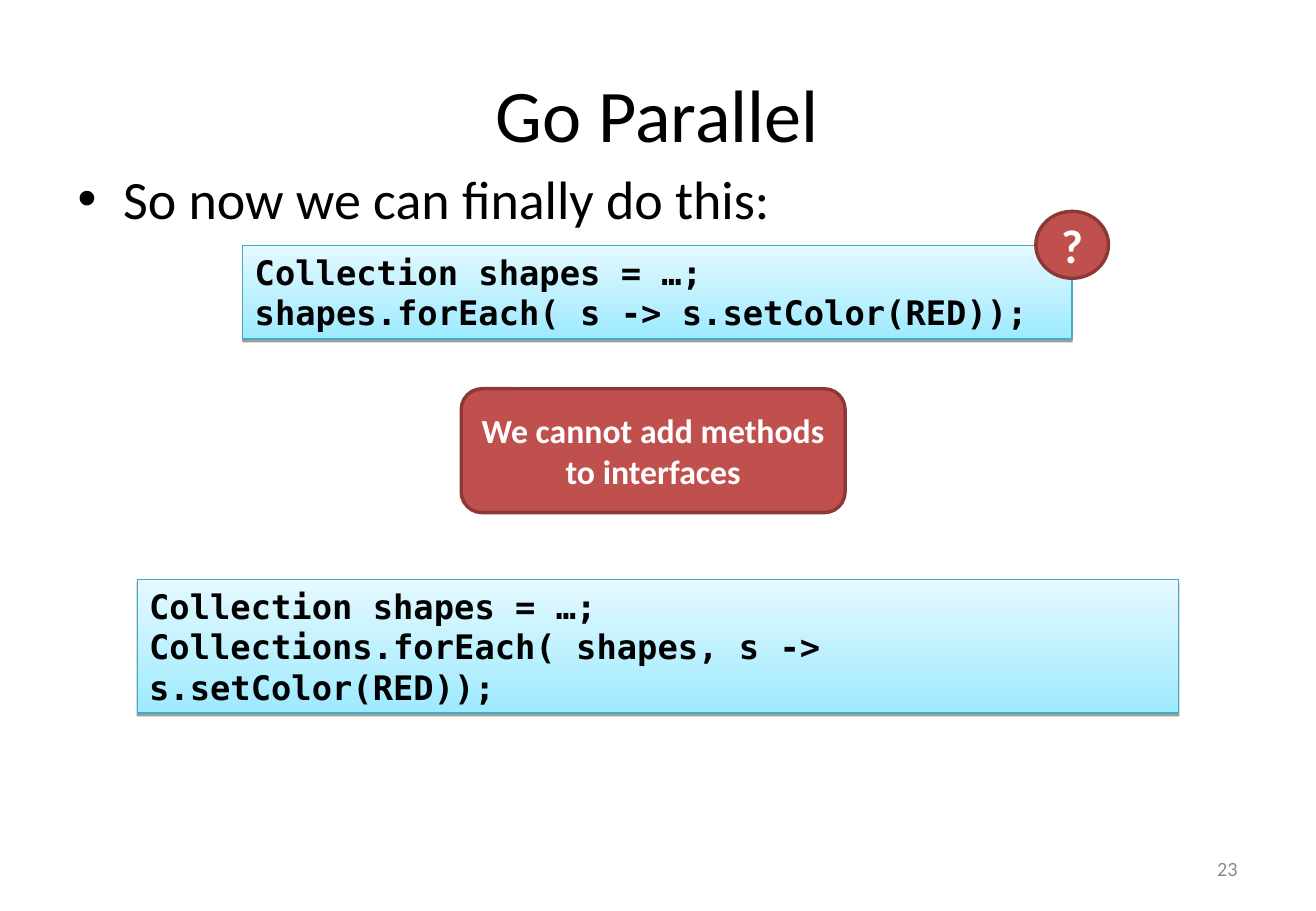
from lxml.etree import SubElement
from pptx import Presentation
from pptx.dml.color import RGBColor
from pptx.enum.shapes import MSO_SHAPE
from pptx.enum.text import MSO_ANCHOR, MSO_AUTO_SIZE, PP_ALIGN
from pptx.oxml.ns import qn
from pptx.util import Cm, Pt

BLACK = RGBColor(0x00, 0x00, 0x00)
WHITE = RGBColor(0xFF, 0xFF, 0xFF)
GREY = RGBColor(0x89, 0x89, 0x89)
RED = RGBColor(0xC0, 0x50, 0x4D)
DARK_RED = RGBColor(0x8C, 0x38, 0x36)
DEEP_CYAN = RGBColor(0x9E, 0xEA, 0xFF)
PALE_CYAN = RGBColor(0xE4, 0xF9, 0xFF)
CYAN_EDGE = RGBColor(0x46, 0xAA, 0xC5)

SLIDE_SIZE = (27.53, 19.05)
TITLE = ("Go Parallel", (1.37, 0.76, 24.77, 3.18))
BODY = ("So now we can finally do this:", (1.37, 3.33, 24.77, 15.01))
PAGE_NUMBER = ("23", (19.71, 17.65, 6.43, 1.02))
CODE_BOXES = [
    (["Collection shapes = …;", "shapes.forEach( s -> s.setColor(RED));"],
     (5.08, 5.13, 17.35, 1.96)),
    (["Collection shapes = …;", "Collections.forEach( shapes, s -> s.setColor(RED));"],
     (2.87, 12.12, 21.79, 2.79)),
]
CALLOUTS = [
    ("We cannot add methods to interfaces", MSO_SHAPE.ROUNDED_RECTANGLE, 20,
     (9.65, 8.13, 8.03, 2.59)),
    ("?", MSO_SHAPE.OVAL, 28, (21.67, 4.42, 1.52, 1.4)),
]


def write(shape, lines, size, color=BLACK, font="Calibri", bold=False,
          align=PP_ALIGN.LEFT, anchor=MSO_ANCHOR.TOP,
          fit=MSO_AUTO_SIZE.NONE, before=0):
    frame = shape.text_frame
    frame.word_wrap = True
    frame.auto_size = fit
    frame.vertical_anchor = anchor
    frame.text = "\n".join(lines)
    for para in frame.paragraphs:
        para.alignment = align
        para.space_before = Pt(before)
        for span in para.runs:
            span.font.name = font
            span.font.size = Pt(size)
            span.font.bold = bold
            span.font.color.rgb = color


def place(shape, area):
    shape.left, shape.top, shape.width, shape.height = map(Cm, area)


def add_box(page, kind, area, edge, weight):
    box = page.shapes.add_shape(kind, *map(Cm, area))
    box.line.color.rgb = edge
    box.line.width = Pt(weight)
    box.shadow.inherit = False
    return box


def add_code(page, lines, area):
    box = add_box(page, MSO_SHAPE.RECTANGLE, area, CYAN_EDGE, 0.75)
    box.fill.gradient()
    box.fill.gradient_angle = 90
    for stop, color, position in zip(box.fill.gradient_stops, (DEEP_CYAN, PALE_CYAN), (0, 1)):
        stop.color.rgb = color
        stop.position = position
    effects = box._element.spPr.find(qn("a:effectLst"))
    shadow = SubElement(effects, qn("a:outerShdw"), blurRad="0", dist=str(Pt(1.6)),
                        dir="5400000", rotWithShape="0")
    tint = SubElement(shadow, qn("a:srgbClr"), val="000000")
    SubElement(tint, qn("a:alpha"), val="38000")
    write(box, lines, 20, font="DejaVu Sans Mono", bold=True,
          fit=MSO_AUTO_SIZE.SHAPE_TO_FIT_TEXT)


def add_callout(page, text, kind, size, area):
    box = add_box(page, kind, area, DARK_RED, 2)
    box.fill.solid()
    box.fill.fore_color.rgb = RED
    write(box, [text], size, color=WHITE, bold=True,
          align=PP_ALIGN.CENTER, anchor=MSO_ANCHOR.MIDDLE)


def main():
    deck = Presentation()
    deck.slide_width, deck.slide_height = map(Cm, SLIDE_SIZE)
    page = deck.slides.add_slide(deck.slide_layouts[1])

    title, body = page.placeholders
    place(title, TITLE[1])
    write(title, [TITLE[0]], 44, align=PP_ALIGN.CENTER, anchor=MSO_ANCHOR.MIDDLE)
    place(body, BODY[1])
    write(body, [BODY[0]], 32, before=8)

    for lines, area in CODE_BOXES:
        add_code(page, lines, area)
    for callout in CALLOUTS:
        add_callout(page, *callout)

    number = page.shapes.add_textbox(*map(Cm, PAGE_NUMBER[1]))
    write(number, [PAGE_NUMBER[0]], 12, color=GREY,
          align=PP_ALIGN.RIGHT, anchor=MSO_ANCHOR.MIDDLE)

    deck.save("out.pptx")


if __name__ == "__main__":
    main()
